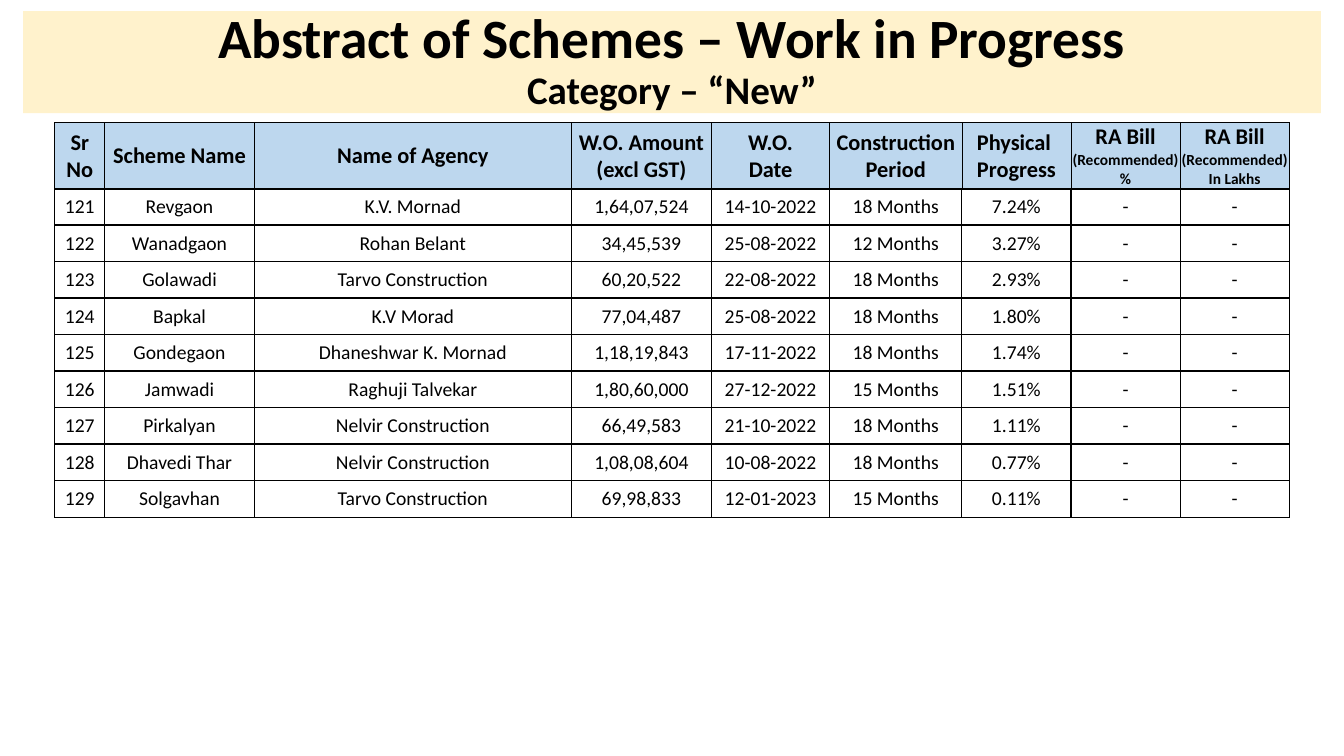
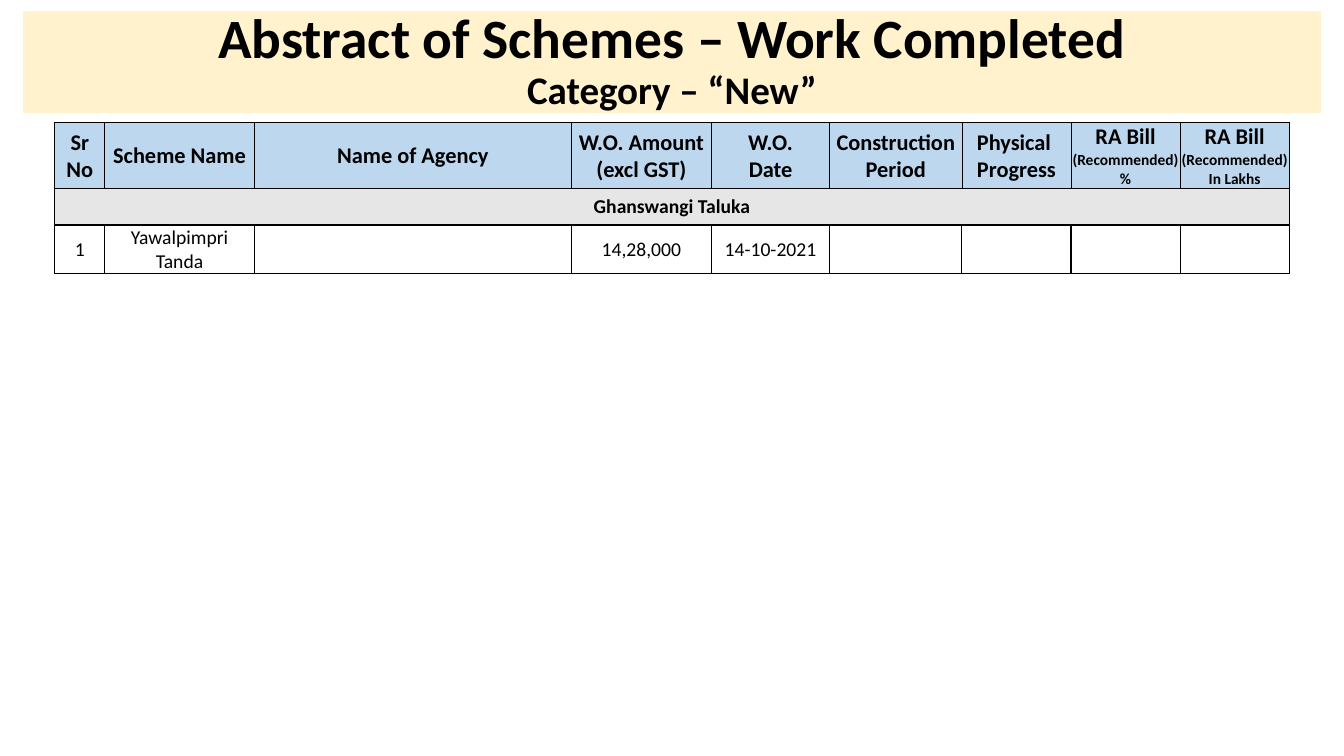
from copy import deepcopy

from lxml.etree import SubElement
from pptx import Presentation
from pptx.dml.color import RGBColor
from pptx.enum.text import MSO_ANCHOR, MSO_AUTO_SIZE, PP_ALIGN
from pptx.oxml.ns import qn
from pptx.util import Cm, Pt

TITLE_ONLY = 5
HEADER_TOP, HEADER_HEIGHT = 3.09, 1.66
ROW_HEIGHT, TWO_LINE_HEIGHT = 0.92, 1.23
COLUMN_WIDTHS = [1.26, 3.77, 7.99, 3.53, 2.98, 3.33, 2.75, 2.75, 2.75]

# One entry per column; each column is a list of (paragraph, size).
HEADINGS = [
    [("Sr No", 16)],
    [("Scheme Name", 16)],
    [("Name of Agency", 16)],
    [("W.O. Amount\n(excl GST)", 16)],
    [("W.O.\nDate", 16)],
    [("Construction\nPeriod", 16)],
    [("Physical ", 16), ("Progress", 16)],
    [("RA Bill", 16), ("(Recommended)", 11), ("%", 11)],
    [("RA Bill", 16), ("(Recommended)", 11), ("In Lakhs", 11)],
]

IN_PROGRESS = [
    ("121", "Revgaon", "K.V. Mornad", "1,64,07,524", "14-10-2022", "18 Months", "7.24%"),
    ("122", "Wanadgaon", "Rohan Belant", "34,45,539", "25-08-2022", "12 Months", "3.27%"),
    ("123", "Golawadi", "Tarvo Construction", "60,20,522", "22-08-2022", "18 Months", "2.93%"),
    ("124", "Bapkal", "K.V Morad", "77,04,487", "25-08-2022", "18 Months", "1.80%"),
    ("125", "Gondegaon", "Dhaneshwar K. Mornad", "1,18,19,843", "17-11-2022", "18 Months", "1.74%"),
    ("126", "Jamwadi", "Raghuji Talvekar", "1,80,60,000", "27-12-2022", "15 Months", "1.51%"),
    ("127", "Pirkalyan", "Nelvir Construction", "66,49,583", "21-10-2022", "18 Months", "1.11%"),
    ("128", "Dhavedi Thar", "Nelvir Construction", "1,08,08,604", "10-08-2022", "18 Months", "0.77%"),
    ("129", "Solgavhan", "Tarvo Construction", "69,98,833", "12-01-2023", "15 Months", "0.11%"),
]
NO_BILLS = ("-", "-")

COMPLETED_TALUKA = "Ghanswangi Taluka"
COMPLETED = ("1", "Yawalpimpri Tanda", "", "14,28,000", "14-10-2021", "", "", "", "")


def rgb(hex_code):
    return RGBColor.from_string(hex_code)


class SchemeDeck:
    FONT = "Calibri"
    INK = "000000"
    TITLE_BAND = "FFF2CC"
    HEADER_FILL = "BDD7EE"
    TALUKA_FILL = "E7E6E6"

    def __init__(self):
        self.deck = Presentation()
        self.deck.slide_width, self.deck.slide_height = Cm(33.87), Cm(19.05)
        self.slide = None

    def add_slide(self, status):
        layout = self.deck.slide_layouts[TITLE_ONLY]
        self.slide = self.deck.slides.add_slide(layout)
        self.title(f"Abstract of Schemes – {status}", "Category – “New”")
        self.header()

    def run(self, paragraph, text, size, bold):
        run = paragraph.add_run()
        run.text = text
        run.font.name = self.FONT
        run.font.size = Pt(size)
        run.font.bold = bold
        run.font.color.rgb = rgb(self.INK)
        return run

    def line_break(self, paragraph, run):
        """Break the line at the text size of the run before it."""
        paragraph.add_line_break()
        paragraph._p[-1].append(deepcopy(run._r.rPr))

    def title(self, heading, category):
        title = self.slide.shapes.title
        title.left, title.top = Cm(0.58), Cm(0.28)
        title.width, title.height = Cm(32.71), Cm(2.57)
        title.fill.solid()
        title.fill.fore_color.rgb = rgb(self.TITLE_BAND)
        frame = title.text_frame
        frame.auto_size = MSO_AUTO_SIZE.NONE
        frame.word_wrap = True
        frame.vertical_anchor = MSO_ANCHOR.MIDDLE
        paragraph = frame.paragraphs[0]
        paragraph.alignment = PP_ALIGN.CENTER
        paragraph.line_spacing = 0.9
        first = self.run(paragraph, heading, 39.6, True)
        self.line_break(paragraph, first)
        self.run(paragraph, category, 27.9, True)

    def borders(self, cell, width):
        properties = cell._tc.get_or_add_tcPr()
        for side in ("a:lnL", "a:lnR", "a:lnT", "a:lnB"):
            line = SubElement(properties, qn(side), w=str(Pt(width)))
            fill = SubElement(line, qn("a:solidFill"))
            SubElement(fill, qn("a:srgbClr"), val=self.INK)

    def cell(self, cell, paragraphs, bold=False, fill=None, border=1):
        cell.margin_left = cell.margin_right = cell.margin_top = Cm(0.02)
        cell.margin_bottom = 0
        cell.vertical_anchor = MSO_ANCHOR.MIDDLE
        self.borders(cell, border)
        if fill:
            cell.fill.solid()
            cell.fill.fore_color.rgb = rgb(fill)
        else:
            cell.fill.background()
        frame = cell.text_frame
        for index, (text, size) in enumerate(paragraphs):
            paragraph = frame.add_paragraph() if index else frame.paragraphs[0]
            paragraph.alignment = PP_ALIGN.CENTER
            run = None
            for line in text.split("\n"):
                if run:
                    self.line_break(paragraph, run)
                run = self.run(paragraph, line, size, bold)

    def table(self, top, row_heights):
        frame = self.slide.shapes.add_table(
            len(row_heights), len(COLUMN_WIDTHS), Cm(1.38), Cm(top),
            Cm(sum(COLUMN_WIDTHS)), Cm(sum(row_heights)))
        table = frame.table
        table.first_row = table.horz_banding = False
        for column, width in zip(table.columns, COLUMN_WIDTHS):
            column.width = Cm(width)
        for row, height in zip(table.rows, row_heights):
            row.height = Cm(height)
        return table

    def header(self):
        table = self.table(HEADER_TOP, [HEADER_HEIGHT])
        for cell, heading in zip(table.rows[0].cells, HEADINGS):
            self.cell(cell, heading, bold=True, fill=self.HEADER_FILL, border=0.5)

    def schemes(self, rows, row_height=ROW_HEIGHT, taluka=None):
        """List the schemes under the header, below a taluka band if named."""
        band_heights = [ROW_HEIGHT] if taluka else []
        table = self.table(HEADER_TOP + HEADER_HEIGHT,
                           band_heights + [row_height] * len(rows))
        if taluka:
            band = list(table.rows[0].cells)
            band[0].merge(band[-1])
            for cell in band:
                text = [] if cell.is_spanned else [(taluka, 14)]
                self.cell(cell, text, bold=True, fill=self.TALUKA_FILL)
        for index, values in enumerate(rows, len(band_heights)):
            for cell, value in zip(table.rows[index].cells, values):
                self.cell(cell, [(value, 14)] if value else [])


def main():
    schemes = SchemeDeck()
    schemes.add_slide("Work in Progress")
    schemes.schemes([row + NO_BILLS for row in IN_PROGRESS])
    schemes.add_slide("Work Completed")
    schemes.schemes([COMPLETED], TWO_LINE_HEIGHT, COMPLETED_TALUKA)
    schemes.deck.save("out.pptx")


if __name__ == "__main__":
    main()
